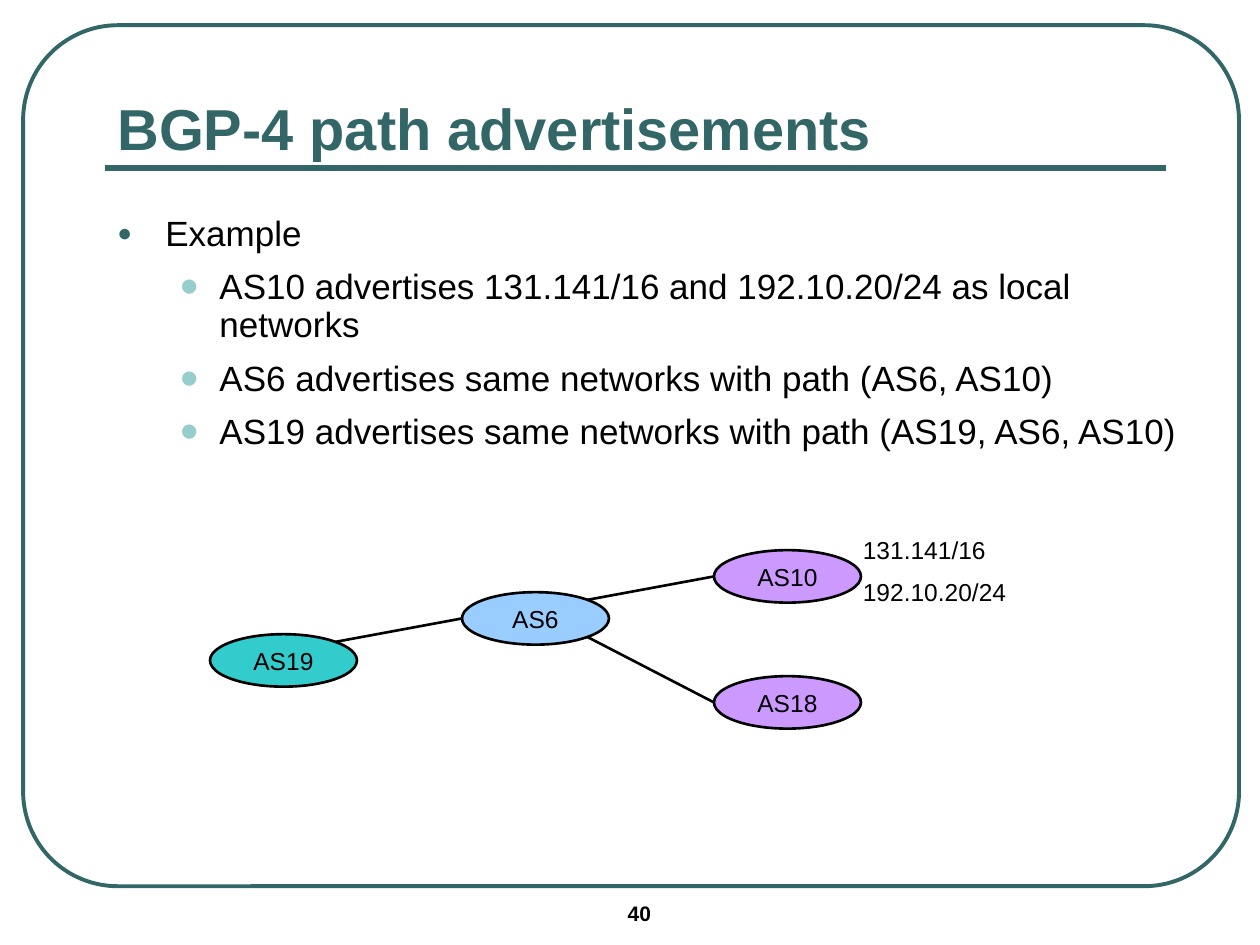
from lxml.etree import SubElement
from pptx import Presentation
from pptx.dml.color import RGBColor
from pptx.enum.shapes import MSO_CONNECTOR, MSO_SHAPE
from pptx.enum.text import MSO_ANCHOR, PP_ALIGN
from pptx.oxml.ns import qn
from pptx.util import Inches, Pt

COLUMNS, ROWS = 60, 45
NODE_WIDTH, NODE_HEIGHT = 7, 2.5
DIAGONAL = 0.5 ** 0.5  # cosine of 45 degrees
GREEN, PALE_GREEN, BLACK = "336666", "97CDCC", "000000"


def color(hex_value):
    return RGBColor.from_string(hex_value)


class SlideBuilder:
    """Draws on one slide; all lengths are grid columns and rows."""

    font_name = "Arial"

    def __init__(self, presentation):
        self.slide = presentation.slides.add_slide(presentation.slide_layouts[6])
        self.column = presentation.slide_width / COLUMNS
        self.row = presentation.slide_height / ROWS

    def place(self, left, top, width, height):
        return (round(left * self.column), round(top * self.row),
                round(width * self.column), round(height * self.row))

    def style(self, paragraph, size, text_color=BLACK, bold=False):
        font = paragraph.font
        font.name, font.size, font.bold = self.font_name, Pt(size), bold
        font.color.rgb = color(text_color)

    def text(self, box, lines, size, text_color=BLACK, bold=False,
             anchor=MSO_ANCHOR.TOP, gap=0):
        frame = self.slide.shapes.add_textbox(*self.place(*box)).text_frame
        frame.word_wrap = True
        frame.vertical_anchor = anchor
        frame.text = "\n".join(lines)
        for paragraph in frame.paragraphs:
            self.style(paragraph, size, text_color, bold)
            paragraph.space_after = Pt(gap)
        return frame

    def bullet(self, paragraph, symbol, bullet_color, percent, indent, hanging):
        properties = paragraph._p.get_or_add_pPr()
        properties.set("marL", str(Inches(indent)))
        properties.set("indent", str(-Inches(hanging)))
        holder = SubElement(properties, qn("a:buClr"))
        SubElement(holder, qn("a:srgbClr"), val=bullet_color)
        SubElement(properties, qn("a:buSzPct"), val=str(percent * 1000))
        SubElement(properties, qn("a:buFont"), typeface=self.font_name)
        SubElement(properties, qn("a:buChar"), char=symbol)

    def outline(self, kind, box, line_color, width, fill=None):
        shape = self.slide.shapes.add_shape(kind, *self.place(*box))
        shape.shadow.inherit = False
        shape.line.color.rgb = color(line_color)
        shape.line.width = Pt(width)
        if fill:
            shape.fill.solid()
            shape.fill.fore_color.rgb = color(fill)
        else:
            shape.fill.background()
        return shape

    def node(self, name, left, top, fill):
        box = left, top, NODE_WIDTH, NODE_HEIGHT
        frame = self.outline(MSO_SHAPE.OVAL, box, BLACK, 1.5, fill).text_frame
        frame.word_wrap = False
        frame.vertical_anchor = MSO_ANCHOR.MIDDLE
        frame.text = name
        paragraph = frame.paragraphs[0]
        paragraph.alignment = PP_ALIGN.CENTER
        self.style(paragraph, 14)

    def line(self, start, end, line_color, width):
        connector = self.slide.shapes.add_connector(
            MSO_CONNECTOR.STRAIGHT,
            *self.place(*start, *end))
        connector.line.color.rgb = color(line_color)
        connector.line.width = Pt(width)
        SubElement(connector._element.spPr, qn("a:effectLst"))

    def link(self, source, target):
        """Join the source's right diagonal point to the target's left end."""
        (left, top), (target_left, target_top) = source, target
        side = 1 if target_top > top else -1
        start = (left + NODE_WIDTH / 2 * (1 + DIAGONAL),
                 top + NODE_HEIGHT / 2 * (1 + side * DIAGONAL))
        self.line(start, (target_left, target_top + NODE_HEIGHT / 2), BLACK, 1.5)


def main():
    presentation = Presentation()
    presentation.slide_width, presentation.slide_height = Inches(10), Inches(7.5)
    builder = SlideBuilder(presentation)

    frame = builder.outline(MSO_SHAPE.ROUNDED_RECTANGLE, (1.1, 1.2, 57.9, 41), GREEN, 2.25)
    frame.adjustments[0] = 0.11
    builder.line((5, 8), (55.5, 8), GREEN, 3)
    builder.text((29.3, 42.6, 7, 2), ["40"], 12, bold=True)
    builder.text((5, 3.5, 50.5, 4.5), ["BGP-4 path advertisements"], 33, GREEN,
                 bold=True, anchor=MSO_ANCHOR.BOTTOM)

    body = builder.text((5, 10, 52.4, 12), [
        "Example",
        "AS10 advertises 131.141/16 and 192.10.20/24 as local networks",
        "AS6 advertises same networks with path (AS6, AS10)",
        "AS19 advertises same networks with path (AS19, AS6, AS10)",
    ], 20, gap=9)
    heading, *points = body.paragraphs
    builder.bullet(heading, "●", GREEN, 70, 0.38, 0.38)
    for point in points:
        point.level = 1
        builder.bullet(point, "•", PALE_GREEN, 150, 0.81, 0.31)
    for paragraph in body.paragraphs:
        paragraph.line_spacing = 0.9

    nodes = {
        "AS10": (34, 26.2, "CC99FF"),
        "AS18": (34, 32.2, "CC99FF"),
        "AS19": (10, 30.2, "33CCCC"),
        "AS6": (22, 28.2, "99CCFF"),
    }
    for name, (left, top, fill) in nodes.items():
        builder.node(name, left, top, fill)
    for source, target in [("AS19", "AS6"), ("AS6", "AS18"), ("AS6", "AS10")]:
        builder.link(nodes[source][:2], nodes[target][:2])
    builder.text((40.5, 25.2, 9, 4.1), ["131.141/16", "192.10.20/24"], 14, gap=7)

    presentation.save("out.pptx")


if __name__ == "__main__":
    main()
